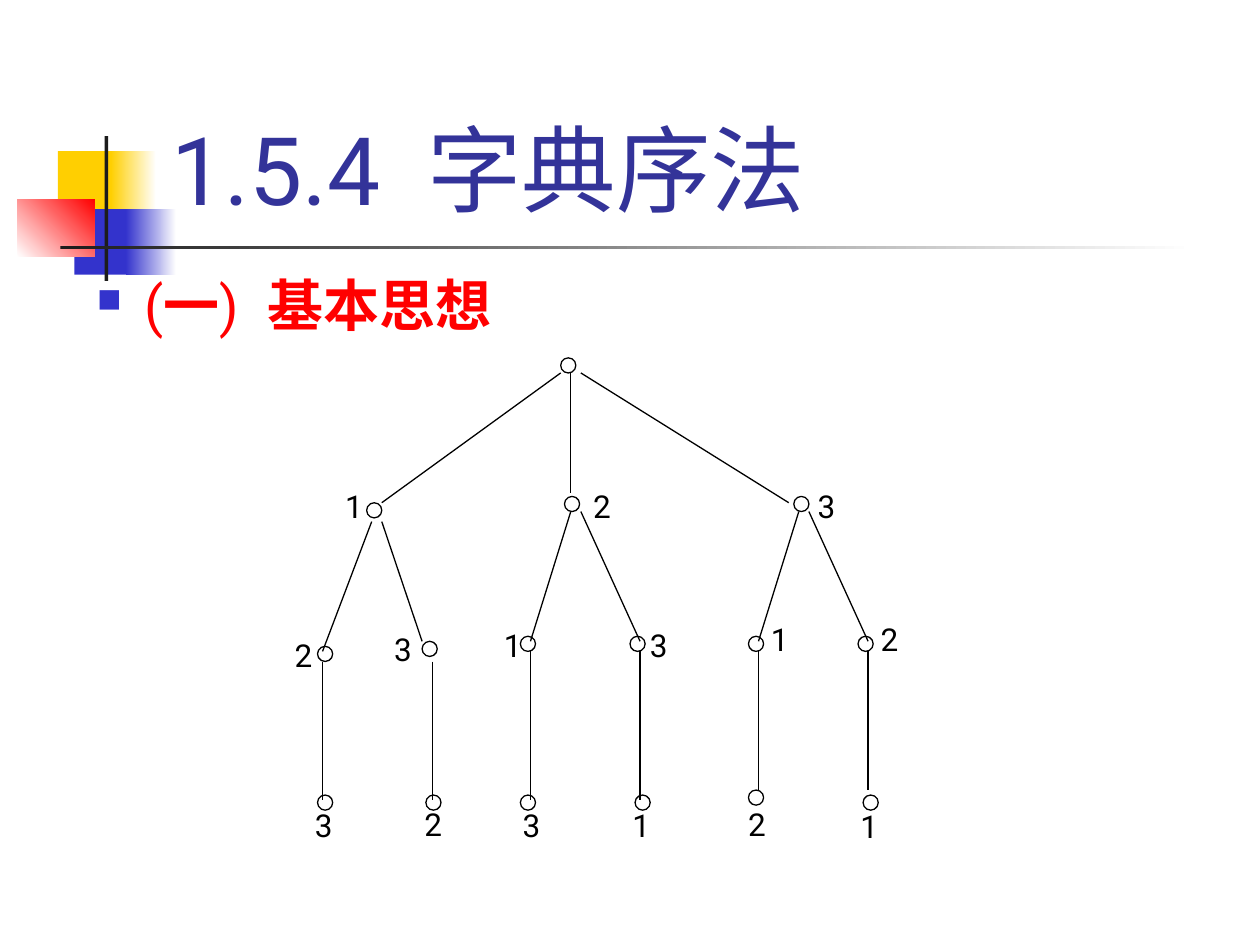
from lxml.etree import SubElement
from pptx import Presentation
from pptx.dml.color import RGBColor
from pptx.enum.shapes import MSO_CONNECTOR, MSO_SHAPE
from pptx.enum.text import MSO_ANCHOR
from pptx.oxml.ns import qn
from pptx.util import Inches, Pt

BLACK, RED, BLUE, WHITE, DARK = "000000", "FF0000", "3333CC", "FFFFFF", "1C1C1C"
GOLD = "FFCF01"
DOT = 0.12
STEM_GAP = 0.87

# Branch x is its left stem; x values of a branch count from it, those of a
# child from the child's own stem. All y values count from the top of the tree.
BRANCHES = [
    dict(x=0.32, fork=(0.39, 1.30), dot=(0.35, 1.15), label=("1", 0.08, 0.98), stem=(2.41, 3.51),
         kids=[dict(end=(0, 2.33), dot=(-0.04, 2.29), label=("2", -0.32, 2.16),
                    leaf=(-0.04, 3.47), name=("3", -0.16, 3.51)),
               dict(end=(-0.08, 2.25), dot=(-0.08, 2.25), label=("3", -0.40, 2.11),
                    leaf=(-0.05, 3.47), name=("2", -0.16, 3.50))]),
    dict(x=1.97, fork=(0.32, 1.22), dot=(0.27, 1.10), label=("2", 0.40, 0.98), stem=(2.33, 3.51),
         kids=[dict(end=(0, 2.25), dot=(-0.08, 2.21), label=("1", -0.31, 2.08),
                    leaf=(-0.08, 3.47), name=("3", -0.16, 3.51)),
               dict(end=(0, 2.25), dot=(-0.08, 2.21), label=("3", -0.02, 2.08),
                    leaf=(-0.04, 3.47), name=("1", -0.16, 3.51))]),
    dict(x=3.78, fork=(0.32, 1.22), dot=(0.28, 1.10), label=("3", 0.37, 0.98), stem=(2.33, 3.43),
         kids=[dict(end=(0, 2.25), dot=(-0.08, 2.21), label=("1", 0, 2.03),
                    leaf=(-0.08, 3.43), name=("2", -0.18, 3.50)),
               dict(end=(0, 2.25), dot=(-0.08, 2.21), label=("2", 0, 2.03),
                    leaf=(-0.04, 3.47), name=("1", -0.16, 3.52))]),
]


def color(code):
    return RGBColor.from_string(code)


def add_text(slide, runs, x, y, w, h, size=18, ink=BLACK, wrap=False, anchor=MSO_ANCHOR.TOP):
    """Each run is (text, bold, extra points of letter spacing)."""
    box = slide.shapes.add_textbox(Inches(x), Inches(y), Inches(w), Inches(h))
    frame = box.text_frame
    frame.word_wrap = wrap
    frame.vertical_anchor = anchor
    line = frame.paragraphs[0]
    for text, bold, gap in runs:
        run = line.add_run()
        run.text = text
        font = run.font
        font.name, font.size, font.bold = "Roboto", Pt(size), bold
        font.color.rgb = color(ink)
        if gap:
            font._element.set("spc", str(int(gap * 100)))
    return line


def add_bar(slide, x, y, w, h, start, end=None, angle=0):
    """A borderless rectangle, shaded from start to end if end is given."""
    bar = slide.shapes.add_shape(MSO_SHAPE.RECTANGLE, Inches(x), Inches(y), Inches(w), Inches(h))
    bar.shadow.inherit = False
    bar.line.fill.background()
    if end:
        bar.fill.gradient()
        bar.fill.gradient_angle = angle
        for stop, code in zip(bar.fill.gradient_stops, (start, end)):
            stop.color.rgb = color(code)
    else:
        bar.fill.solid()
        bar.fill.fore_color.rgb = color(start)


def add_dot(slide, x, y):
    dot = slide.shapes.add_shape(MSO_SHAPE.OVAL, Inches(x), Inches(y), Inches(DOT), Inches(DOT))
    dot.shadow.inherit = False
    dot.fill.background()
    dot.line.color.rgb = color(BLACK)
    dot.line.width = Pt(0.75)


def add_edge(slide, x1, y1, x2, y2):
    edge = slide.shapes.add_connector(
        MSO_CONNECTOR.STRAIGHT, Inches(x1), Inches(y1), Inches(x2), Inches(y2))
    edge.line.color.rgb = color(BLACK)
    edge.line.width = Pt(0.75)
    SubElement(edge._element.spPr, qn("a:effectLst"))


def add_label(slide, label, x, y):
    text, dx, dy = label
    add_text(slide, [(text, False, 0)], x + dx, y + dy, 0.34, 0.4)


def add_motif(slide, x, y):
    add_bar(slide, x + 0.32, y + 0.12, 0.48, 0.52, GOLD)
    add_bar(slide, x + 0.74, y + 0.12, 0.36, 0.52, GOLD, WHITE)
    add_bar(slide, x + 0.45, y + 0.58, 0.46, 0.52, BLUE)
    add_bar(slide, x + 0.86, y + 0.58, 0.4, 0.52, BLUE, WHITE)
    add_bar(slide, x, y + 0.5, 0.61, 0.46, WHITE, RED, angle=45)
    add_bar(slide, x + 0.69, y, 0.03, 1.15, DARK)
    add_bar(slide, x + 0.34, y + 0.87, 9, 0.03, DARK, WHITE)


def add_title(slide, x, y, w, h):
    runs = [("1.5.4", False, 0), (" ", False, 13.5), ("字典序法", False, 0)]
    add_text(slide, runs, x, y, w, h, size=54, ink="333399", wrap=True, anchor=MSO_ANCHOR.BOTTOM)


def add_body(slide, x, y, w, h):
    runs = [("(", False, 0), ("一", True, 0), (")", False, 0), (" ", False, 8),
            ("基本思想", True, 0)]
    line = add_text(slide, runs, x, y, w, h, size=32, ink=RED, wrap=True)
    line.space_before = Pt(8)
    props = line._p.get_or_add_pPr()
    props.set("marL", str(Inches(0.38)))
    props.set("indent", str(Inches(-0.38)))
    tint = SubElement(props, qn("a:buClr"))
    SubElement(tint, qn("a:srgbClr"), val=BLUE)
    SubElement(props, qn("a:buSzPct"), val="60000")
    SubElement(props, qn("a:buChar"), char="■")


def add_branch(slide, branch, x, y):
    fork_x, fork_y = branch["fork"]
    dot_x, dot_y = branch["dot"]
    top, foot = branch["stem"]
    add_dot(slide, x + dot_x, y + dot_y)
    add_label(slide, branch["label"], x, y)
    for i, kid in enumerate(branch["kids"]):
        stem = x + i * STEM_GAP
        end_x, end_y = kid["end"]
        add_edge(slide, x + fork_x + i * 0.08, y + fork_y, stem + end_x, y + end_y)
        add_edge(slide, stem, y + top, stem, y + foot)
        for dx, dy in (kid["dot"], kid["leaf"]):
            add_dot(slide, stem + dx, y + dy)
        for label in (kid["label"], kid["name"]):
            add_label(slide, label, stem, y)


def add_tree(slide, x, y):
    add_dot(slide, x + 2.21, y)
    ends = [(0.79, 1.15), (2.29, 1.07), (4.02, 1.15)]
    for i, (branch, (dx, dy)) in enumerate(zip(BRANCHES, ends)):
        add_edge(slide, x + 2.21 + i * 0.08, y + DOT, x + dx, y + dy)
        add_branch(slide, branch, x + branch["x"], y)


def main():
    deck = Presentation()
    deck.slide_width, deck.slide_height = Inches(10), Inches(7.5)
    slide = deck.slides.add_slide(deck.slide_layouts[6])
    add_motif(slide, 0.14, 1.08)
    add_title(slide, 1.26, 0.23, 8.52, 1.6)
    add_body(slide, 0.67, 2.1, 9.14, 5.4)
    add_tree(slide, 2.24, 2.84)
    deck.save("out.pptx")


if __name__ == "__main__":
    main()
